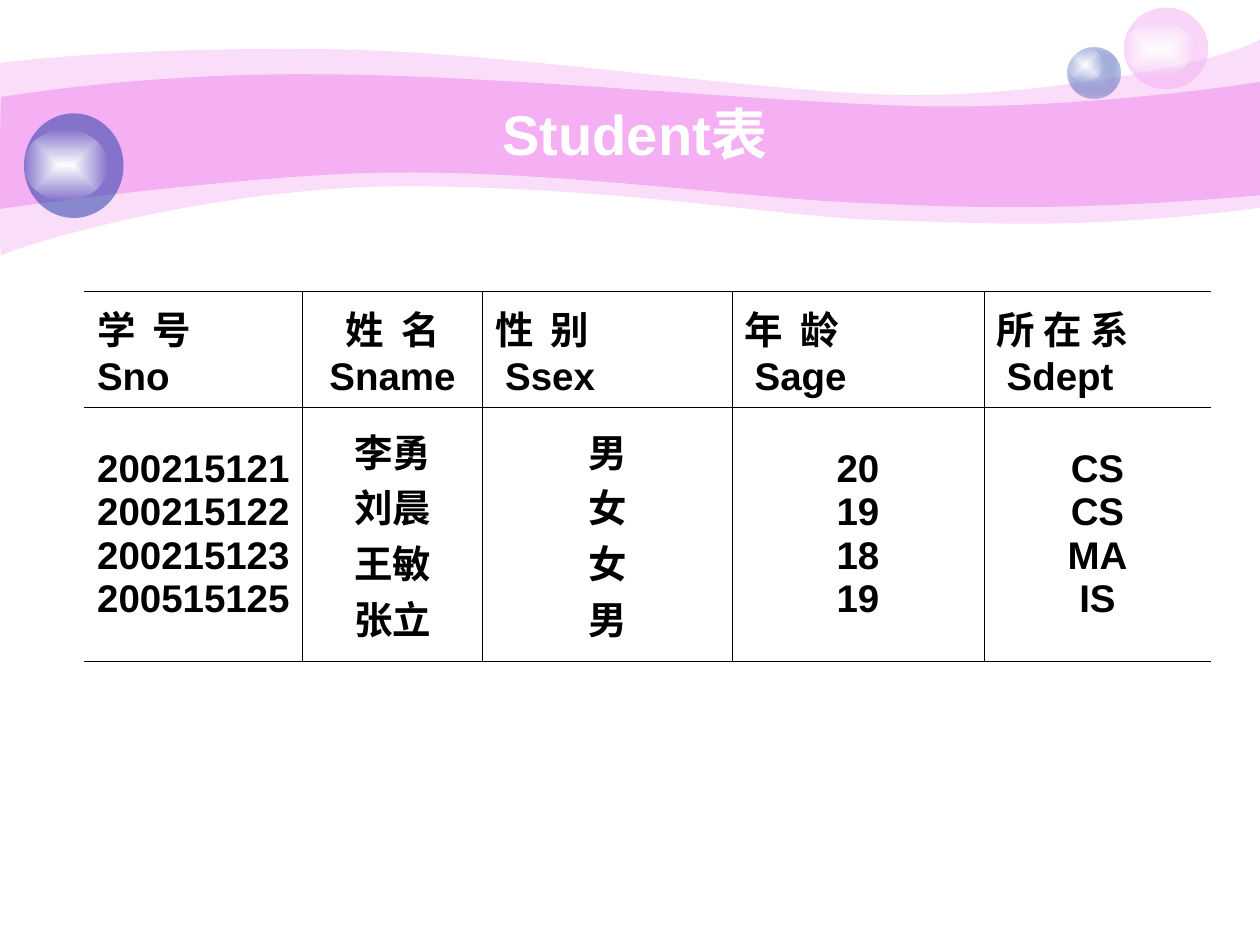
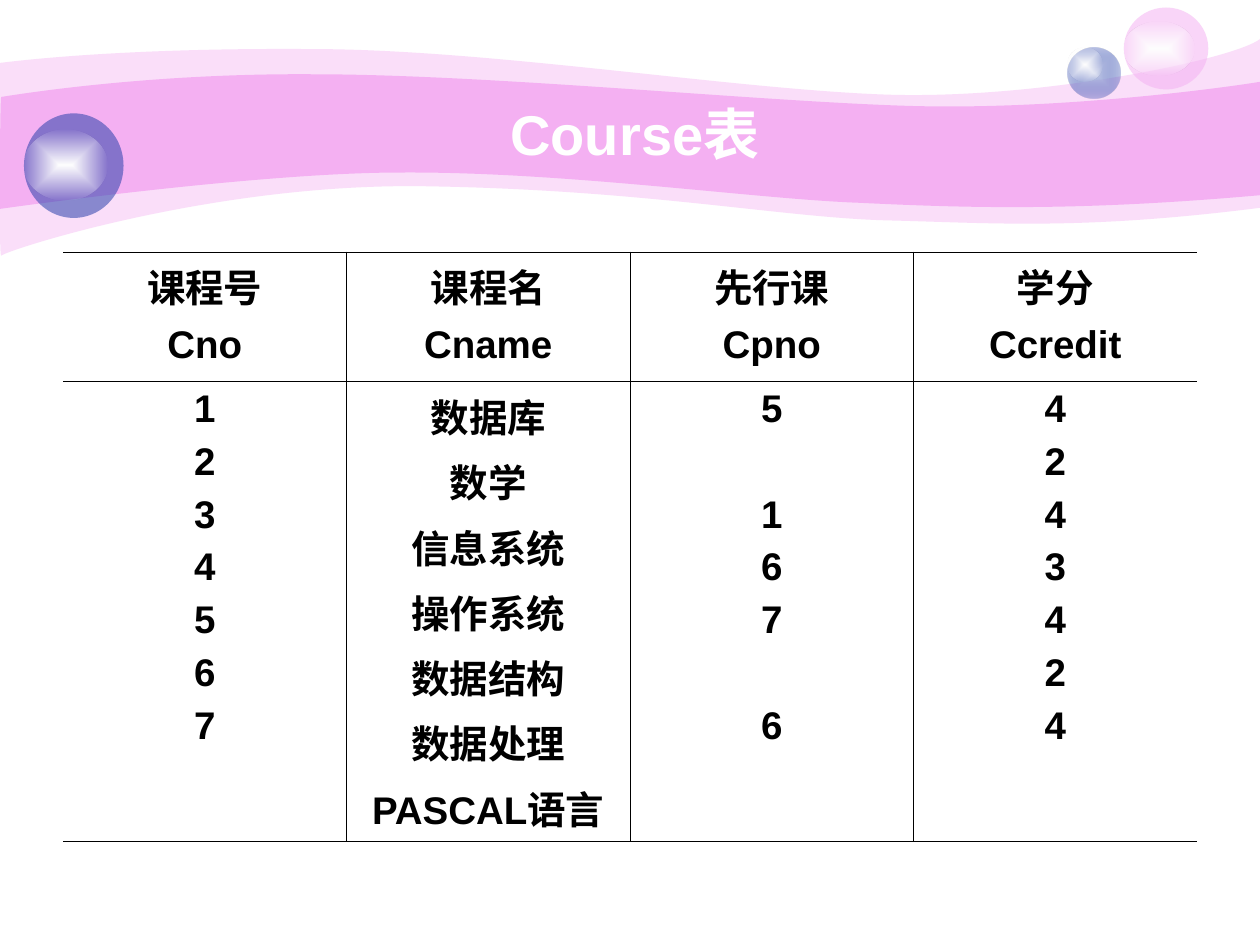
from pptx import Presentation
from pptx.dml.color import RGBColor
from pptx.enum.shapes import MSO_SHAPE
from pptx.enum.text import MSO_ANCHOR, PP_ALIGN
from pptx.oxml import parse_xml
from pptx.oxml.ns import nsdecls, qn
from pptx.util import Inches, Pt

C = {"pink": "F4B0F2", "blue": "233DA9", "mist": "C7CEE9",
     "white": "FFFFFF", "black": "000000"}
FONT = "Arial"
LEFT, CENTER = PP_ALIGN.LEFT, PP_ALIGN.CENTER
LINE_PITCH = 30.1  # points taken by one skipped value

# Content: each column is (Chinese head, field, head alignment, values)
TABLES = [
    dict(title="Student表", at=(0.67, 2.31), widths=[1.73, 1.43, 1.98, 2, 1.8],
         heights=[0.92, 2.02], anchor=MSO_ANCHOR.MIDDLE, before=0, columns=[
             ("学 号", "Sno", LEFT,
              ["200215121", "200215122", "200215123", "200515125"]),
             ("姓 名", "Sname", CENTER, ["李勇", "刘晨", "王敏", "张立"]),
             ("性 别", "Ssex", LEFT, ["男", "女", "女", "男"]),
             ("年 龄", "Sage", LEFT, ["20", "19", "18", "19"]),
             ("所 在 系", "Sdept", LEFT, ["CS", "CS", "MA", "IS"])],
         indented={"Ssex", "Sage", "Sdept"}, spaced={"学 号", "姓 名", "性 别", "年 龄"}),
    dict(title="Course表", at=(0.5, 2), widths=[2.25] * 4,
         heights=[1.03, 3.12], anchor=MSO_ANCHOR.TOP, before=5.5, columns=[
             ("课程号", "Cno", CENTER, list("1234567")),
             ("课程名", "Cname", CENTER,
              ["数据库", "数学", "信息系统", "操作系统", "数据结构", "数据处理",
               "PASCAL语言"]),
             ("先行课", "Cpno", CENTER, ["5", None, "1", "6", "7", None, "6"]),
             ("学分", "Ccredit", CENTER, list("4243424"))],
         indented=set(), spaced=set()),
]

# Waves: (opacity %, upper edge, lower edge, left end), chained Bezier points
WAVES = [
    (41, [(0, .5), (.24, .47), (1.07, .38), (2.47, .39), (3.86, .39), (5.75, .7),
          (6.99, .75), (8.22, .8), (9.8, .47), (10, .31)],
     [(10, 1.65), (8.58, 1.83), (7.87, 1.77), (7.05, 1.75), (6.22, 1.73),
      (5.15, 1.51), (3.43, 1.48), (1.72, 1.44), (.04, 1.99), (.01, 2.03)],
     [(-.01, 2.08), (0, .75), (0, .5)]),
    (100, [(.01, .77), (.02, .77), (1.1, .58), (2.48, .59), (3.86, .59), (5.95, .8),
           (7.18, .84), (8.41, .88), (9.76, .69), (10, .65)],
     [(10, 1.55), (8.53, 1.68), (7.65, 1.65), (6.82, 1.61), (5.99, 1.58),
      (4.47, 1.36), (3.17, 1.37), (2.03, 1.37), (-.02, 1.66), (-.01, 1.66)],
     [(0, 1.66), (0, .77), (.01, .77)]),
]

# Bubbles: (box, colour stops with opacity %, box of the highlight)
BUBBLES = [
    ((8.47, .38, .42, .4), [("mist", 100), ("blue", 31)], (8.47, .38, .28, .27)),
    ((8.92, .06, .67, .65), [("pink", 53)], (8.92, .17, .56, .43)),
    ((.19, .9, .79, .83), [("blue", 53)], (.19, 1.03, .66, .56)),
]
SHINE = [("white", 100), ("white", 0)]


def paint(sp, stops):
    """Fill with one colour, or with a gradient from centre to edge."""
    colours = [f'<a:srgbClr val="{C[name]}"><a:alpha val="{pct * 1000}"/></a:srgbClr>'
               for name, pct in stops]
    if len(stops) == 1:
        xml = f'<a:solidFill {nsdecls("a")}>{colours[0]}</a:solidFill>'
    else:
        xml = (f'<a:gradFill {nsdecls("a")} rotWithShape="1"><a:gsLst>'
               f'<a:gs pos="0">{colours[0]}</a:gs><a:gs pos="100000">{colours[1]}</a:gs>'
               '</a:gsLst><a:path path="rect"><a:fillToRect l="50000" t="50000" '
               'r="50000" b="50000"/></a:path></a:gradFill>')
    sp.fill.background()
    props = sp.element.spPr
    props.replace(props.find(qn("a:noFill")), parse_xml(xml))
    sp.line.fill.background()
    sp.shadow.inherit = False


def curve(lines):
    """Turn three successive line segments into one cubic Bezier curve."""
    bezier = parse_xml(f'<a:cubicBezTo {nsdecls("a")}/>')
    lines[0].addprevious(bezier)
    for line in lines:
        bezier.append(line[0])
        line.getparent().remove(line)


def add_wave(s, upper, lower, end):
    start, *rest = [(Inches(x), Inches(y)) for x, y in upper + lower + end]
    builder = s.shapes.build_freeform(*start)
    builder.add_line_segments(rest, close=True)
    wave = builder.convert_to_shape()
    lines = list(wave.element.iter(qn("a:lnTo")))
    del lines[len(upper) - 1]  # the right end stays straight
    for i in range(0, len(lines), 3):
        curve(lines[i:i + 3])
    return wave


def decorate(master, s):
    """Draw waves and bubbles on s, then move them to the back of the master."""
    shapes = []
    for opacity, *edges in WAVES:
        shapes.append(add_wave(s, *edges))
        paint(shapes[-1], [("pink", opacity)])
    for box, stops, shine_box in BUBBLES:
        for area, colours in ((box, stops), (shine_box, SHINE)):
            shapes.append(s.shapes.add_shape(MSO_SHAPE.OVAL, *map(Inches, area)))
            paint(shapes[-1], colours)
    for i, sp in enumerate(shapes):
        master.shapes.element.insert(2 + i, sp.element)


def style(p, size, colour, align):
    p.alignment = align
    p.font.name, p.font.size, p.font.bold = FONT, Pt(size), True
    p.font.color.rgb = RGBColor.from_string(C[colour])


def write(cell, lines, align, data):
    tf = cell.text_frame
    cell.vertical_anchor = data["anchor"]
    before, first = 0, True
    for line in lines:
        if line is None:
            before += LINE_PITCH
            continue
        p = tf.paragraphs[0] if first else tf.add_paragraph()
        r = p.add_run()
        r.text = line
        style(p, 22, "black", align)
        p.space_before = Pt(before)
        if line in data["indented"]:
            p._p.get_or_add_pPr().set("marL", str(Inches(0.08)))
        if line in data["spaced"]:
            r._r.get_or_add_rPr().set("spc", "250")
        before, first = data["before"], False


def rule(cell, open_sides):
    """Thin black borders, except on the open sides."""
    cell.fill.background()
    for i, side in enumerate("LRTB"):
        ink = ("<a:noFill/>" if side in open_sides else
               f'<a:solidFill><a:srgbClr val="{C["black"]}"/></a:solidFill>')
        cell._tc.get_or_add_tcPr().insert(i, parse_xml(
            f'<a:ln{side} {nsdecls("a")} w="{Pt(0.45)}">{ink}</a:ln{side}>'))


def add_data_table(s, data):
    widths, heights, columns = data["widths"], data["heights"], data["columns"]
    size = (sum(widths), sum(heights))
    table = s.shapes.add_table(len(heights), len(widths),
                               *map(Inches, data["at"] + size)).table
    table.first_row = table.horz_banding = False
    for row, height in zip(table.rows, heights):
        row.height = Inches(height)
    for c, (width, (head, field, align, values)) in enumerate(zip(widths, columns)):
        table.columns[c].width = Inches(width)
        write(table.cell(0, c), [head, field], align, data)
        write(table.cell(1, c), values, CENTER, data)
        open_sides = ("L" if c == 0 else "") + ("R" if c == len(columns) - 1 else "")
        for r in range(len(heights)):
            rule(table.cell(r, c), open_sides)


def add_title(s, text):
    title = s.shapes.title
    title.left, title.top, title.width, title.height = map(Inches, (1, 0.75, 8.08, 0.62))
    tf = title.text_frame
    tf.text = text
    tf.vertical_anchor = MSO_ANCHOR.MIDDLE
    style(tf.paragraphs[0], 32, "white", CENTER)


def main():
    prs = Presentation()
    prs.slide_width, prs.slide_height = Inches(10), Inches(7.5)
    layout = prs.slide_layouts.get_by_name("Title Only")
    for ph in list(layout.placeholders)[1:]:  # date, footer and number
        layout.shapes.element.remove(ph.element)
    for i, data in enumerate(TABLES):
        s = prs.slides.add_slide(layout)
        if i == 0:
            decorate(prs.slide_master, s)
        add_title(s, data["title"])
        add_data_table(s, data)
    prs.save("out.pptx")


if __name__ == "__main__":
    main()
